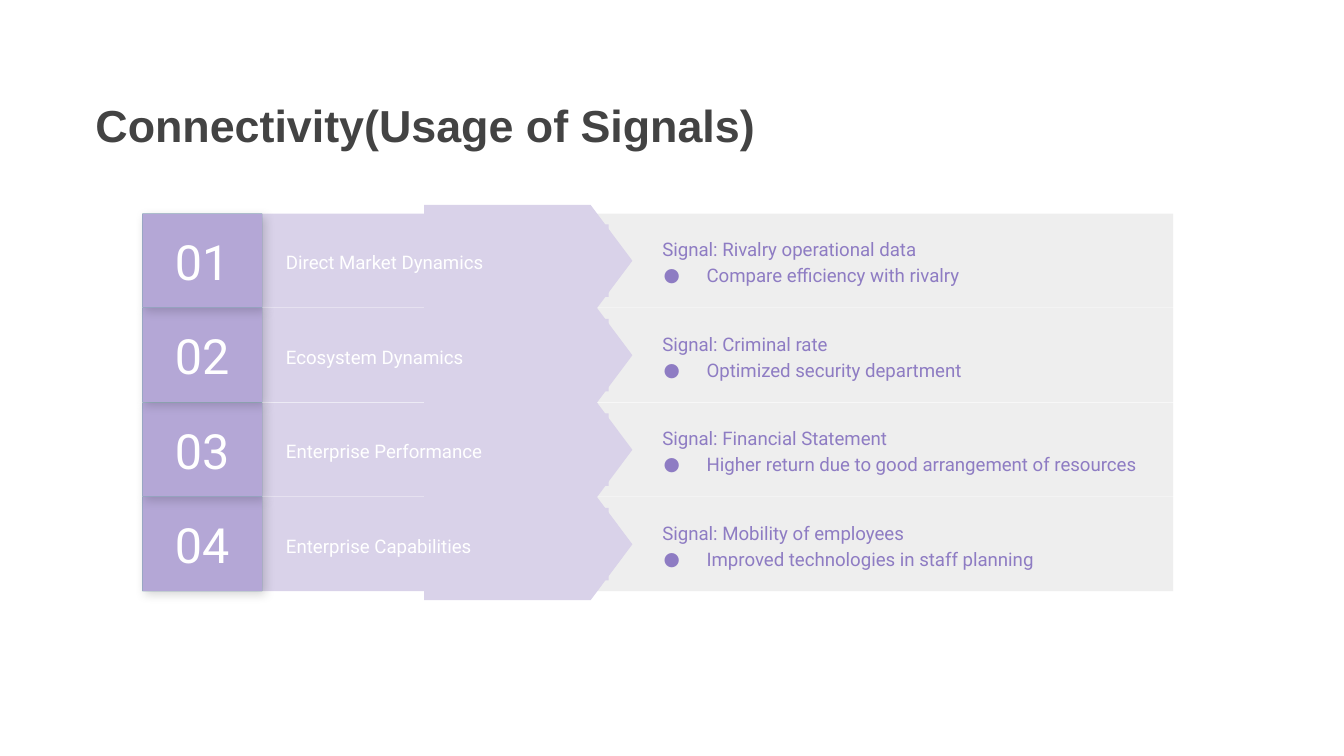
from lxml.etree import SubElement
from pptx import Presentation
from pptx.dml.color import RGBColor
from pptx.enum.shapes import MSO_SHAPE
from pptx.enum.text import MSO_ANCHOR, PP_ALIGN
from pptx.oxml.ns import qn
from pptx.util import Inches, Pt

TITLE = "Connectivity(Usage of Signals)"
ROWS = [
    ("01", "Direct Market Dynamics", "Signal: Rivalry operational data",
     "Compare efficiency with rivalry"),
    ("02", "Ecosystem Dynamics", "Signal: Criminal rate",
     "Optimized security department"),
    ("03", "Enterprise Performance", "Signal: Financial Statement",
     "Higher return due to good arrangement of resources"),
    ("04", "Enterprise Capabilities", "Signal: Mobility of employees",
     "Improved technologies in staff planning"),
]

DARK_GREY = RGBColor(0x43, 0x43, 0x43)
LIGHT_GREY = RGBColor(0xEE, 0xEE, 0xEE)
LAVENDER = RGBColor(0xD9, 0xD2, 0xE9)
PURPLE = RGBColor(0xB4, 0xA7, 0xD6)
VIOLET = RGBColor(0x8E, 0x7C, 0xC3)
TEAL = RGBColor(0x1D, 0x7E, 0x74)
WHITE = RGBColor(0xFF, 0xFF, 0xFF)

FIRST_TOP, LAST_TOP, ROW_HEIGHT = 1.59, 3.70, 0.70
ROW_PITCH = (LAST_TOP - FIRST_TOP) / (len(ROWS) - 1)
LABEL_HEIGHT = 0.54
ARROW_CENTER, ARROW_WIDTH, ARROW_LENGTH = 3.93, 0.83, 1.55


def add_block(shapes, kind, left, top, width, height, color):
    block = shapes.add_shape(kind, Inches(left), Inches(top), Inches(width), Inches(height))
    block.shadow.inherit = False
    block.fill.solid()
    block.fill.fore_color.rgb = color
    block.line.fill.background()
    return block


def prepare_frame(shape):
    frame = shape.text_frame
    frame.word_wrap = True
    frame.vertical_anchor = MSO_ANCHOR.MIDDLE
    frame.margin_left = frame.margin_right = Inches(0.1)
    frame.margin_top = frame.margin_bottom = Inches(0.1)
    return frame


def write(para, text, size, color, font="Roboto", align=PP_ALIGN.LEFT, spacing=1.15):
    para.text = text
    para.alignment = align
    para.line_spacing = spacing
    para.font.name = font
    para.font.size = Pt(size)
    para.font.color.rgb = color


def set_indent(para, left, first=0.0):
    properties = para._p.get_or_add_pPr()
    properties.set("marL", str(Inches(left)))
    properties.set("indent", str(Inches(first)))
    return properties


def add_bullet(para, size, color):
    properties = set_indent(para, 0.5, -0.32)
    bullet_color = SubElement(properties, qn("a:buClr"))
    SubElement(bullet_color, qn("a:srgbClr"), val=str(color))
    SubElement(properties, qn("a:buSzPts"), val=str(size * 100))
    SubElement(properties, qn("a:buFont"), typeface="Roboto")
    SubElement(properties, qn("a:buChar"), char="●")


def cast_shadow(shape):
    effects = shape._element.spPr.find(qn("a:effectLst"))
    shadow = SubElement(effects, qn("a:outerShdw"), blurRad=str(Pt(5.6)), dist=str(Pt(2.2)),
                        dir=str(45 * 60000), algn="ctr", rotWithShape="0")
    color = SubElement(shadow, qn("a:srgbClr"), val="000000")
    SubElement(color, qn("a:alpha"), val="17000")


def add_row(shapes, top, number, label, signal, result):
    middle = top + ROW_HEIGHT / 2
    add_block(shapes, MSO_SHAPE.RECTANGLE, 3.81, top, 4.92, ROW_HEIGHT, LIGHT_GREY)
    add_block(shapes, MSO_SHAPE.RECTANGLE, 1.95, top, 2.37, ROW_HEIGHT, LAVENDER)
    arrow = add_block(shapes, MSO_SHAPE.FLOWCHART_OFFPAGE_CONNECTOR,
                      ARROW_CENTER - ARROW_WIDTH / 2, middle - ARROW_LENGTH / 2,
                      ARROW_WIDTH, ARROW_LENGTH, LAVENDER)
    arrow.rotation = 270

    label_box = add_block(shapes, MSO_SHAPE.RECTANGLE, 2.03, middle - LABEL_HEIGHT / 2,
                          2.5, LABEL_HEIGHT, LAVENDER)
    write(prepare_frame(label_box).paragraphs[0], label, 10, WHITE)

    backing, badge = [
        add_block(shapes, MSO_SHAPE.RECTANGLE, 1.06, top, 0.89, ROW_HEIGHT, color)
        for color in (TEAL, PURPLE)
    ]
    cast_shadow(backing)
    write(prepare_frame(badge).paragraphs[0], number, 26, WHITE,
          align=PP_ALIGN.CENTER, spacing=1.0)

    details = shapes.add_textbox(Inches(4.66), Inches(top), Inches(4.07), Inches(ROW_HEIGHT))
    frame = prepare_frame(details)
    heading, item = frame.paragraphs[0], frame.add_paragraph()
    set_indent(heading, 0.17)
    write(heading, signal, 10, VIOLET)
    add_bullet(item, 10, VIOLET)
    write(item, result, 10, VIOLET)


def main():
    deck = Presentation()
    deck.slide_width = Inches(10)
    deck.slide_height = deck.slide_width * 9 // 16
    page = deck.slides.add_slide(deck.slide_layouts[5])

    title = page.shapes.title
    title.left, title.top = Inches(0.61), Inches(0.76)
    title.width, title.height = Inches(5.79), Inches(0.33)
    heading = prepare_frame(title).paragraphs[0]
    write(heading, TITLE, 24, DARK_GREY, font="Arial", spacing=1.0)
    heading.font.bold = True

    for index, row in reversed(list(enumerate(ROWS))):
        add_row(page.shapes, FIRST_TOP + index * ROW_PITCH, *row)

    deck.save("out.pptx")


if __name__ == "__main__":
    main()
